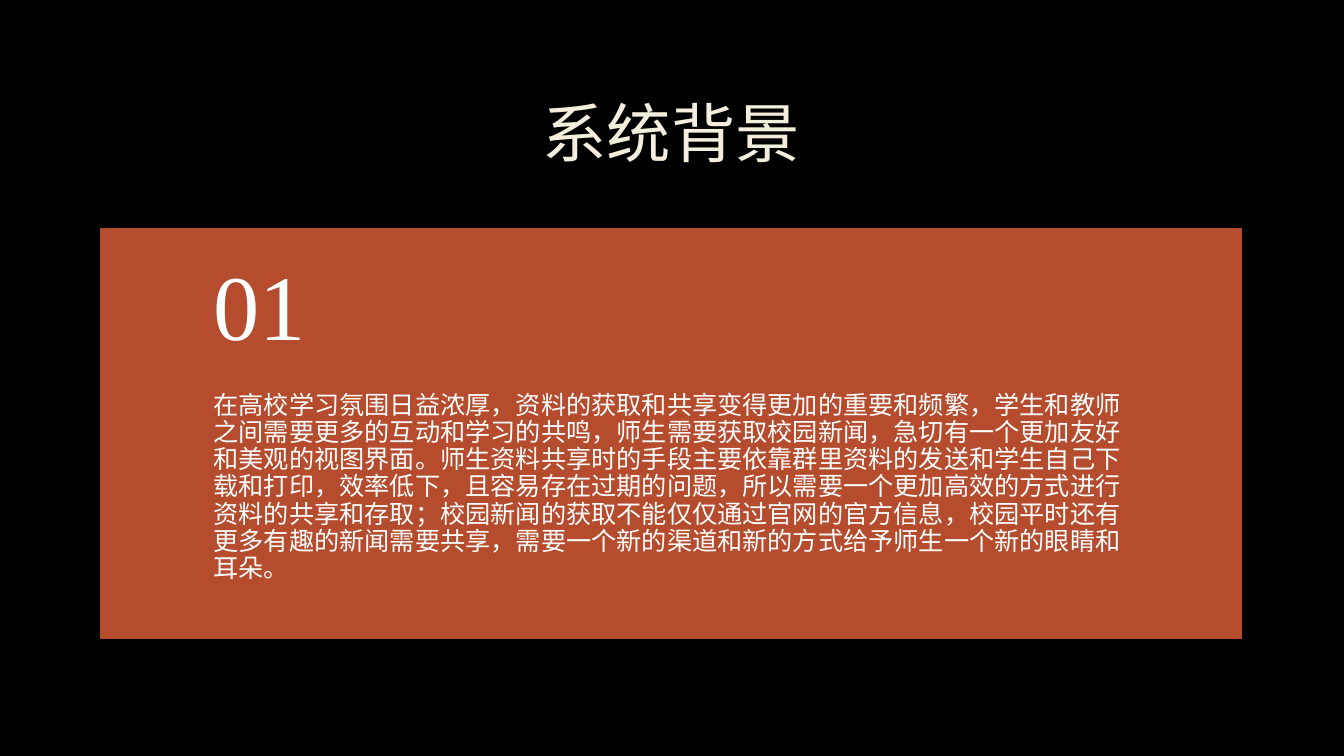
"""Build the system background slide with a numbered text panel."""
from lxml import etree
from pptx import Presentation
from pptx.dml.color import RGBColor
from pptx.enum.shapes import MSO_SHAPE
from pptx.enum.text import MSO_ANCHOR, PP_ALIGN
from pptx.oxml.ns import qn
from pptx.util import Cm, Pt

BLACK = RGBColor(0x00, 0x00, 0x00)
CREAM = RGBColor(0xF4, 0xEE, 0xDC)
RUST = RGBColor(0xB5, 0x4C, 0x2D)
WHITE = RGBColor(0xFF, 0xFF, 0xFF)
RECTANGLE = MSO_SHAPE.RECTANGLE
TOP, MIDDLE = MSO_ANCHOR.TOP, MSO_ANCHOR.MIDDLE
LEFT, CENTER = PP_ALIGN.LEFT, PP_ALIGN.CENTER
SERIF, CHINESE = "Times New Roman", "Noto Sans CJK SC"

MARGIN, WIDTH = 2.54, 28.75
PANEL_TOP, PANEL_HEIGHT, NUMBER_HEIGHT = 5.77, 10.31, 4.12
INDENT = 2.84
BACKGROUND_TEXT = (
    "在高校学习氛围日益浓厚，资料的获取和共享变得更加的重要和频繁，"
    "学生和教师之间需要更多的互动和学习的共鸣，师生需要获取校园新闻，"
    "急切有一个更加友好和美观的视图界面。"
    "师生资料共享时的手段主要依靠群里资料的发送和学生自己下载和打印，"
    "效率低下，且容易存在过期的问题，"
    "所以需要一个更加高效的方式进行资料的共享和存取；"
    "校园新闻的获取不能仅仅通过官网的官方信息，"
    "校园平时还有更多有趣的新闻需要共享，"
    "需要一个新的渠道和新的方式给予师生一个新的眼睛和耳朵。"
)


class Page:
    """Hold the slide and draw its elements in one style."""

    def __init__(self, deck):
        self.slide = deck.slides.add_slide(deck.slide_layouts[6])
        fill = self.slide.background.fill
        fill.solid()
        fill.fore_color.rgb = BLACK

    def panel(self, top, height):
        """Draw a filled rectangle across the content width."""
        panel = self.slide.shapes.add_shape(
            RECTANGLE, Cm(MARGIN), Cm(top), Cm(WIDTH), Cm(height))
        panel.shadow.inherit = False
        panel.fill.solid()
        panel.fill.fore_color.rgb = RUST
        panel.line.color.rgb = RUST
        panel.line.width = Pt(1.25)

    def text(self, words, top, height, size, color=WHITE, font=SERIF,
             anchor=MIDDLE, align=LEFT, side=INDENT, above=0.46, below=0.46):
        """Write one paragraph across the content width."""
        box = self.slide.shapes.add_textbox(
            Cm(MARGIN), Cm(top), Cm(WIDTH), Cm(height))
        frame = box.text_frame
        frame.word_wrap = True
        frame.vertical_anchor = anchor
        frame.margin_left = frame.margin_right = Cm(side)
        frame.margin_top, frame.margin_bottom = Cm(above), Cm(below)
        para = frame.paragraphs[0]
        para.text = words
        para.alignment = align
        para.line_spacing = 0.9
        para.font.size = Pt(size)
        para.font.color.rgb = color
        para.font.name = font
        defaults = para._p.pPr.find(qn("a:defRPr"))
        etree.SubElement(defaults, qn("a:ea"), typeface=CHINESE)


def main():
    """Build and save the deck."""
    deck = Presentation()
    deck.slide_width, deck.slide_height = Cm(33.87), Cm(19.05)
    page = Page(deck)
    page.text("系统背景", 1.7, 3.5, 46, CREAM, CHINESE, align=CENTER,
              side=0.25, above=0.13, below=0.13)
    page.panel(PANEL_TOP, PANEL_HEIGHT)
    page.text(BACKGROUND_TEXT, PANEL_TOP + NUMBER_HEIGHT,
              PANEL_HEIGHT - NUMBER_HEIGHT, 18, anchor=TOP, above=0, below=0.91)
    page.text("01", PANEL_TOP, NUMBER_HEIGHT, 66)
    deck.save("out.pptx")


if __name__ == "__main__":
    main()
